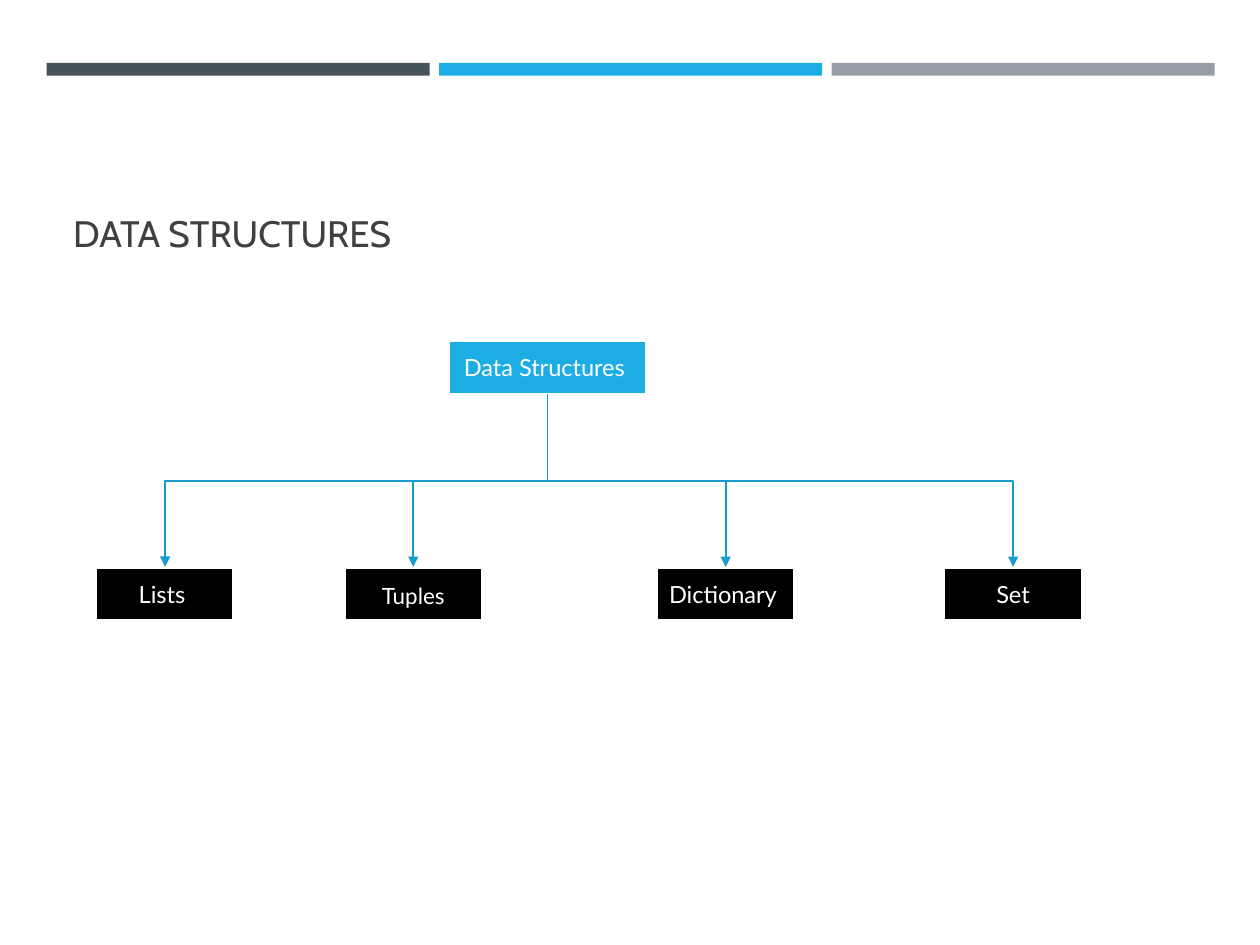
from dataclasses import dataclass, field

from lxml.etree import SubElement
from pptx import Presentation
from pptx.dml.color import RGBColor
from pptx.enum.shapes import MSO_CONNECTOR, MSO_SHAPE
from pptx.enum.text import MSO_ANCHOR, PP_ALIGN
from pptx.oxml.ns import qn
from pptx.slide import Slide
from pptx.util import Inches, Pt

COLORS = {
    "slate": "465359",
    "blue": "1CADE4",
    "gray": "969FA7",
    "ink": "404040",
    "black": "000000",
    "white": "FFFFFF",
    "link": "189CCE",
}
INSETS = {
    "margin_left": Inches(0.07),
    "margin_right": Inches(0.07),
    "margin_top": Inches(0.04),
    "margin_bottom": Inches(0.04),
    "vertical_anchor": MSO_ANCHOR.MIDDLE,
    "word_wrap": True,
}
LOOSE = {"line_spacing": 1.1, "space_before": Pt(2.5), "space_after": Pt(4.5)}


@dataclass
class Box:
    text: str
    left: float
    top: float = 4.5
    width: float = 1.1
    height: float = 0.43
    fill: str = "black"
    size: float = 13.5
    format: dict = field(default_factory=dict)

    @property
    def middle(self) -> float:
        return self.left + self.width / 2


ROOT = Box("Data Structures ", 3.56, 2.7, 1.57, fill="blue")
KINDS = [
    Box("Lists ", 0.76),
    Box("Tuples", 2.73, size=12.8, format=LOOSE),
    Box("Dictionary ", 5.21),
    Box("Set", 7.49),
]
BARS = [
    Box("", 0.37 + 3.115 * i, 0.5, 3.04, 0.1, fill)
    for i, fill in enumerate(("slate", "blue", "gray"))
]


def color(name: str) -> RGBColor:
    return RGBColor.from_string(COLORS[name])


def assign(target, values: dict) -> None:
    for name, value in values.items():
        setattr(target, name, value)


def add_text(frame, text: str, face: str, size: float, shade: str):
    para = frame.paragraphs[0]
    run = para.add_run()
    run.text = text
    assign(run.font, {"name": face, "size": Pt(size), "bold": False})
    run.font.color.rgb = color(shade)
    return para


def add_box(slide: Slide, box: Box) -> None:
    area = map(Inches, (box.left, box.top, box.width, box.height))
    shape = slide.shapes.add_shape(MSO_SHAPE.RECTANGLE, *area)
    shape.shadow.inherit = False
    shape.fill.solid()
    shape.fill.fore_color.rgb = color(box.fill)
    if not box.text:
        shape.line.fill.background()
        return
    shape.line.color.rgb = color("white")
    shape.line.width = Pt(2)
    assign(shape.text_frame, INSETS)
    para = add_text(shape.text_frame, box.text, "Lato", box.size, "white")
    assign(para, {"alignment": PP_ALIGN.CENTER, **box.format})


def add_link(slide: Slide, root: Box, kid: Box) -> None:
    start = root.top + root.height
    drop, span = kid.top - start, abs(kid.middle - root.middle)
    left = (root.middle + kid.middle - drop) / 2
    top = (start + kid.top - span) / 2
    right, low = left + drop, top + span
    if kid.middle < root.middle:
        ends, turn = (left, top, right, low), 90
    else:
        ends, turn = (right, top, left, low), 270
    link = slide.shapes.add_connector(MSO_CONNECTOR.ELBOW, *map(Inches, ends))
    link.line.color.rgb = color("link")
    link.line.width = Pt(1)
    props = link._element.spPr
    props.find(qn("a:xfrm")).set("rot", str(turn * 60000))
    SubElement(props.find(qn("a:ln")), qn("a:tailEnd"), type="triangle")
    SubElement(props, qn("a:effectLst"))


def add_title(slide: Slide, text: str) -> None:
    title = slide.shapes.title
    assign(title, {
        "left": Inches(0.48),
        "top": Inches(0.77),
        "width": Inches(9.05),
        "height": Inches(1.3),
    })
    title.text_frame.vertical_anchor = MSO_ANCHOR.BOTTOM
    para = add_text(title.text_frame, text, "Cabin", 21, "ink")
    para.alignment = PP_ALIGN.LEFT


def main() -> None:
    deck = Presentation()
    assign(deck, {"slide_width": Inches(10), "slide_height": Inches(7.5)})
    slide = deck.slides.add_slide(deck.slide_layouts[5])
    add_title(slide, "DATA STRUCTURES")
    for box in (*BARS, *KINDS, ROOT):
        add_box(slide, box)
    for kid in KINDS:
        add_link(slide, ROOT, kid)
    deck.save("out.pptx")


if __name__ == "__main__":
    main()
